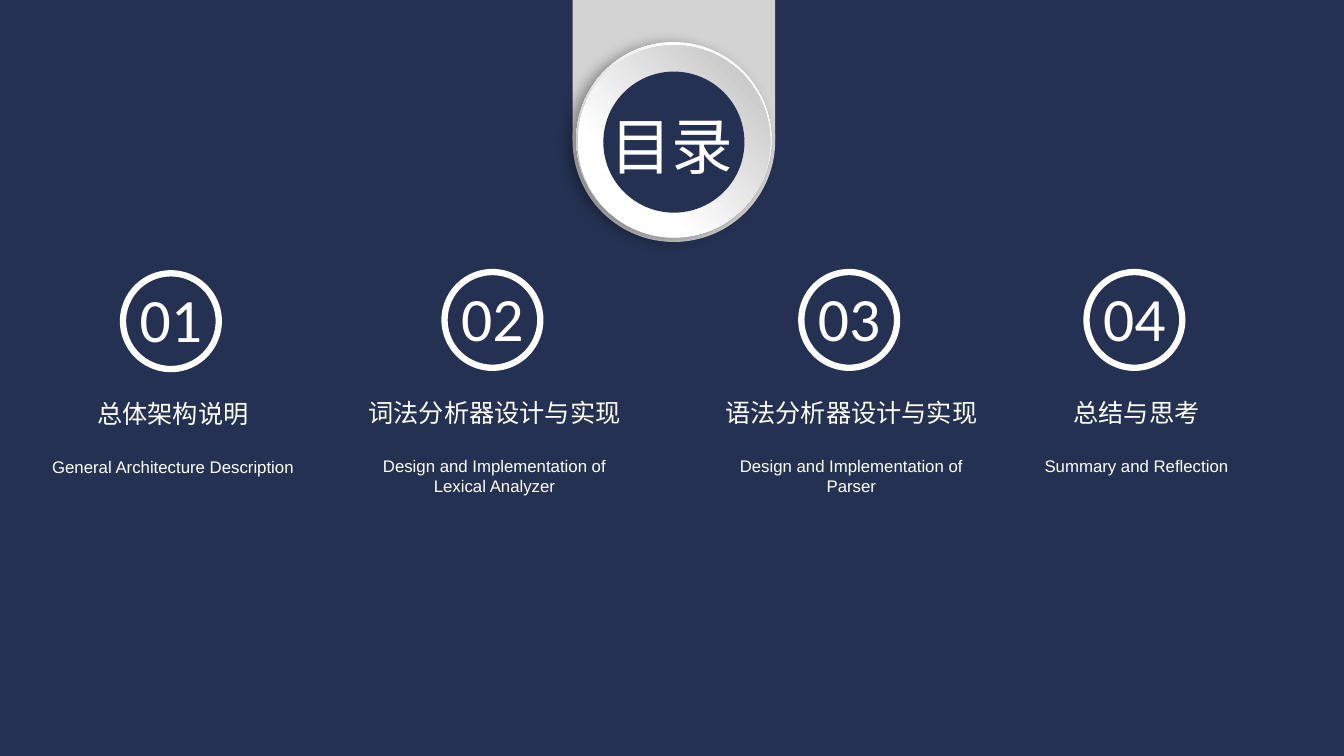
from dataclasses import dataclass

from lxml.etree import SubElement
from pptx import Presentation
from pptx.dml.color import RGBColor
from pptx.enum.shapes import MSO_SHAPE
from pptx.enum.text import MSO_ANCHOR, MSO_AUTO_SIZE, PP_ALIGN
from pptx.oxml.ns import qn
from pptx.util import Inches, Pt

COLUMNS = 64
CELL = 13.33 / COLUMNS


@dataclass(frozen=True)
class Theme:
    """Colours, fonts and type sizes of the slide."""

    navy: str = "243152"
    white: str = "FFFFFF"
    stem: str = "D3D3D3"
    bevel_shade: str = "B8B8B8"
    face_shade: str = "BFBFBF"
    shadow: str = "000000"
    chinese: str = "Noto Sans CJK SC"
    english: str = "Arial"
    digits: str = "Calibri"
    display_size: int = 44
    heading_size: int = 18
    caption_size: int = 12
    ring_width: float = 4.5


THEME = Theme()

MEDALLION_CENTRE = 32.09
TOPICS = [
    (8.14, 13.02, "01", "总体架构说明", "General Architecture Description"),
    (23.45, 12.96, "02", "词法分析器设计与实现",
     "Design and Implementation of Lexical Analyzer"),
    (40.44, 12.96, "03", "语法分析器设计与实现",
     "Design and Implementation of Parser"),
    (54.02, 12.96, "04", "总结与思考", "Summary and Reflection"),
]


def grid(cells):
    """Turn a count of square grid cells into a length."""
    return Inches(cells * CELL)


def color(value):
    """Turn a hex value into a colour."""
    return RGBColor.from_string(value)


def place(shape, centre, top, width, height):
    """Position a shape by its horizontal centre and top, in cells."""
    shape.left, shape.top = grid(centre - width / 2), grid(top)
    shape.width, shape.height = grid(width), grid(height)


def add_shape(slide, kind, centre, top, width, height, fill=None):
    """Add a preset shape without outline or shadow."""
    shape = slide.shapes.add_shape(kind, 0, 0, 0, 0)
    place(shape, centre, top, width, height)
    shape.shadow.inherit = False
    shape.line.fill.background()
    if fill:
        shape.fill.solid()
        shape.fill.fore_color.rgb = color(fill)
    else:
        shape.fill.background()
    return shape


def add_disc(slide, centre, middle, size, fill=None):
    """Add a circle around a centre point."""
    return add_shape(slide, MSO_SHAPE.OVAL, centre, middle - size / 2,
                     size, size, fill)


def shade(shape, angle, stops):
    """Fill a shape with a two-stop linear gradient."""
    shape.fill.gradient()
    shape.fill.gradient_angle = angle
    for stop, (position, value) in zip(shape.fill.gradient_stops, stops):
        stop.position = position
        stop.color.rgb = color(value)


def cast_shadow(shape, blur, distance, direction, opacity):
    """Give a shape a soft outer shadow."""
    effects = shape.element.spPr.find(qn("a:effectLst"))
    outer = SubElement(effects, qn("a:outerShdw"), blurRad=str(Pt(blur)),
                       dist=str(Pt(distance)), dir=str(direction * 60000),
                       algn="ctr", rotWithShape="0")
    tint = SubElement(outer, qn("a:srgbClr"), val=THEME.shadow)
    SubElement(tint, qn("a:alpha"), val=str(opacity * 1000))


def write(shape, text, font, size):
    """Write one centred white line of text into a shape."""
    frame = shape.text_frame
    frame.word_wrap = True
    frame.auto_size = MSO_AUTO_SIZE.NONE
    frame.vertical_anchor = MSO_ANCHOR.TOP
    paragraph = frame.paragraphs[0]
    paragraph.alignment = PP_ALIGN.CENTER
    paragraph.line_spacing = 1.0
    run = paragraph.add_run()
    run.text = text
    run.font.name = font
    run.font.size = Pt(size)
    run.font.color.rgb = color(THEME.white)
    SubElement(run.font._element, qn("a:ea"), typeface=font)


def add_label(slide, box, text, font, size):
    """Add a text box given as centre, top, width and height."""
    label = slide.shapes.add_textbox(0, 0, 0, 0)
    place(label, *box)
    write(label, text, font, size)


def add_medallion(slide):
    """Draw the hanging tag with its bevelled disc."""
    centre = MEDALLION_CENTRE
    add_shape(slide, MSO_SHAPE.RECTANGLE, centre, 0, 9.65, 6.7, THEME.stem)
    add_disc(slide, centre, 6.7, 9.65, THEME.stem)
    bevel = add_disc(slide, centre, 6.65, 9.29)
    shade(bevel, 240, [(0.17, THEME.white), (0.88, THEME.bevel_shade)])
    cast_shadow(bevel, blur=10, distance=5, direction=160, opacity=39)
    face = add_disc(slide, centre, 6.74, 9.17)
    shade(face, 45, [(0.29, THEME.white), (0.98, THEME.face_shade)])
    add_disc(slide, centre, 6.77, 6.72, THEME.navy)


def add_title(slide, text):
    """Set the title placeholder on top of the medallion."""
    title = slide.shapes.title
    place(title, MEDALLION_CENTRE - 0.1, 4.9, 10.61, 4.03)
    write(title, text, THEME.chinese, THEME.display_size)
    title.element.getparent().append(title.element)


def add_topic(slide, centre, top, number, heading, caption):
    """Add one numbered ring with its heading and caption."""
    ring = add_disc(slide, centre, top + 2.28, 4.56)
    ring.line.color.rgb = color(THEME.white)
    ring.line.width = Pt(THEME.ring_width)
    add_label(slide, (centre, top + 0.14, 4.18, 4.03), number,
              THEME.digits, THEME.display_size)
    add_label(slide, (centre + 0.1, top + 5.71, 15.31, 1.92), heading,
              THEME.chinese, THEME.heading_size)
    add_label(slide, (centre + 0.1, top + 8.5, 13.8, 2.4), caption,
              THEME.english, THEME.caption_size)


def main():
    """Build and save the contents slide."""
    presentation = Presentation()
    presentation.slide_width = Inches(13.33)
    presentation.slide_height = Inches(7.5)
    slide = presentation.slides.add_slide(presentation.slide_layouts[5])
    slide.background.fill.solid()
    slide.background.fill.fore_color.rgb = color(THEME.navy)
    add_medallion(slide)
    add_title(slide, "目录")
    for topic in TOPICS:
        add_topic(slide, *topic)
    presentation.save("out.pptx")


if __name__ == "__main__":
    main()
